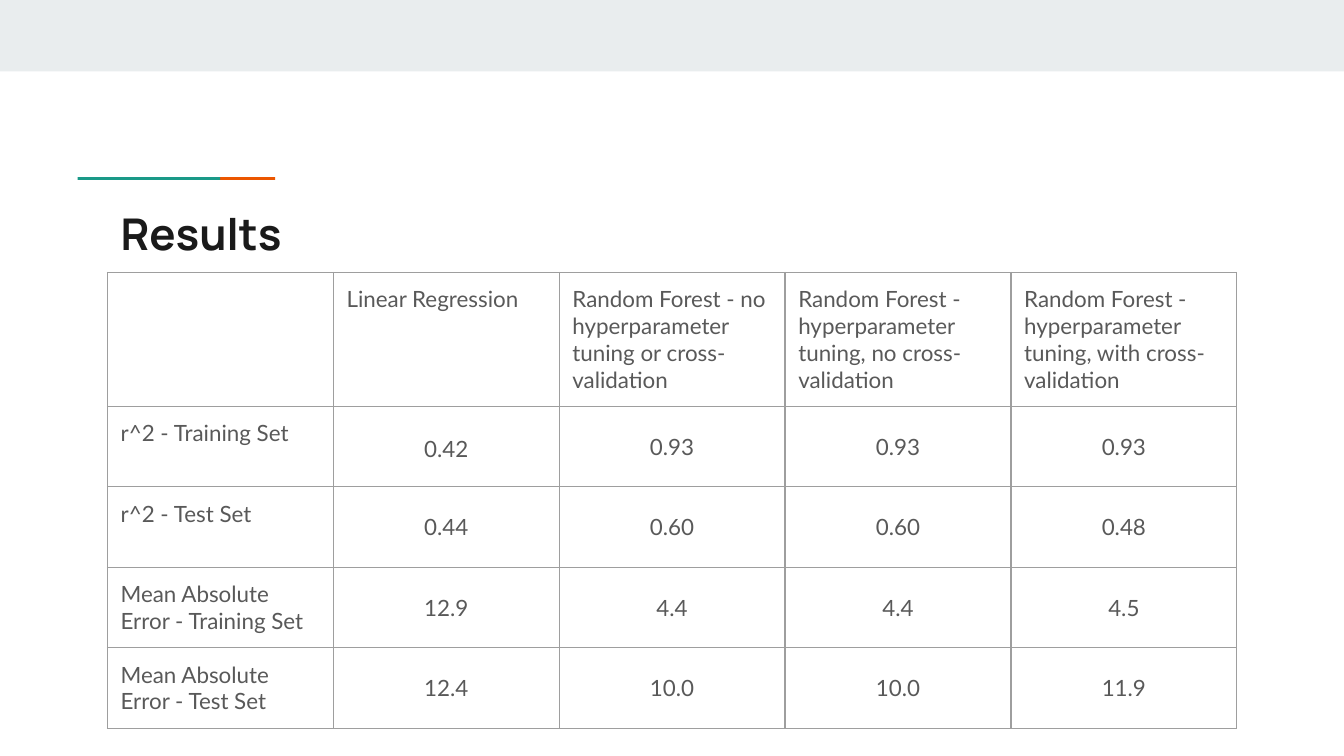
"""Build the model results slide with its comparison table."""
from dataclasses import dataclass

from lxml.etree import SubElement
from pptx import Presentation
from pptx.dml.color import RGBColor as Rgb
from pptx.enum.shapes import MSO_SHAPE as Shape
from pptx.enum.text import MSO_ANCHOR as Anchor, PP_ALIGN as Align
from pptx.oxml import parse_xml
from pptx.oxml.ns import nsdecls, qn
from pptx.util import Cm, Pt


@dataclass(frozen=True)
class Theme:
    band: str = "E9EDEE"
    orange: str = "EB5600"
    teal: str = "1A9988"
    heading: str = "1A1A1A"
    body: str = "595959"
    border: str = "9E9E9E"
    heading_font: str = "Manrope"
    body_font: str = "Lato"
    heading_size: float = 23.4
    body_size: float = 12
    border_width: float = 0.75
    inset: float = 0.25


class SlideBuilder:
    def __init__(self, slide, theme):
        self.slide = slide
        self.theme = theme

    def bar(self, left, top, width, height, color):
        bar = self.slide.shapes.add_shape(
            Shape.RECTANGLE, Cm(left), Cm(top), Cm(width), Cm(height))
        bar.shadow.inherit = False
        bar.fill.solid()
        bar.fill.fore_color.rgb = Rgb.from_string(color)
        bar.line.fill.background()

    def inset(self, holder):
        for side in ("left", "right", "top", "bottom"):
            setattr(holder, f"margin_{side}", Cm(self.theme.inset))

    def style(self, paragraph, name, size, color, bold=False):
        font = paragraph.font
        font.name, font.size, font.bold = name, Pt(size), bold
        font.color.rgb = Rgb.from_string(color)

    def heading(self, wording, left, top, width, height):
        frame = self.slide.shapes.add_textbox(
            Cm(left), Cm(top), Cm(width), Cm(height)).text_frame
        frame.word_wrap = True
        frame.vertical_anchor = Anchor.MIDDLE
        self.inset(frame)
        frame.text = wording
        theme = self.theme
        self.style(frame.paragraphs[0], theme.heading_font,
                   theme.heading_size, theme.heading, bold=True)

    def outline(self, cell):
        properties = cell._tc.get_or_add_tcPr()
        for position, side in enumerate("LRTB"):
            edge = parse_xml(f'<a:ln{side} {nsdecls("a")} '
                             f'w="{Pt(self.theme.border_width)}"/>')
            paint = SubElement(edge, qn("a:solidFill"))
            SubElement(paint, qn("a:srgbClr"), val=self.theme.border)
            properties.insert(position, edge)

    def cell(self, cell, wording, centered):
        cell.text = wording
        cell.fill.background()
        self.inset(cell)
        self.outline(cell)
        paragraph = cell.text_frame.paragraphs[0]
        self.style(paragraph, self.theme.body_font,
                   self.theme.body_size, self.theme.body)
        if centered:
            cell.vertical_anchor = Anchor.MIDDLE
            paragraph.alignment = Align.CENTER

    def table(self, rows, left, top, column_width, row_heights):
        columns = len(rows[0])
        table = self.slide.shapes.add_table(
            len(rows), columns, Cm(left), Cm(top),
            Cm(column_width * columns), Cm(sum(row_heights))).table
        table.first_row = table.horz_banding = False
        for column in table.columns:
            column.width = Cm(column_width)
        for r, (wordings, height) in enumerate(zip(rows, row_heights)):
            table.rows[r].height = Cm(height)
            for c, wording in enumerate(wordings):
                self.cell(table.cell(r, c), wording, centered=r > 0 and c > 0)
        return table


RESULTS = [
    ("", "Linear Regression",
     "Random Forest - no hyperparameter tuning or cross-validation",
     "Random Forest - hyperparameter tuning, no cross-validation",
     "Random Forest - hyperparameter tuning, with cross-validation"),
    ("r^2 - Training Set", "0.42", "0.93", "0.93", "0.93"),
    ("r^2 - Test Set", "0.44", "0.60", "0.60", "0.48"),
    ("Mean Absolute Error - Training Set", "12.9", "4.4", "4.4", "4.5"),
    ("Mean Absolute Error - Test Set", "12.4", "10.0", "10.0", "11.9"),
]


def main():
    deck = Presentation()
    deck.slide_width, deck.slide_height = Cm(25.4), Cm(14.29)
    theme = Theme()
    builder = SlideBuilder(deck.slides.add_slide(deck.slide_layouts[6]), theme)

    builder.bar(0, 0, 25.4, 1.35, theme.band)
    for left, color in ((2.51, theme.orange), (1.47, theme.teal)):
        builder.bar(left, 3.35, 2.69, 0.05, color)
    builder.heading("Results", 2.03, 3.66, 21.36, 1.5)
    scores = builder.table(RESULTS, 2.03, 5.15, 4.27, [2.53] + [1.52] * 4)
    scores.cell(1, 1).text_frame.paragraphs[0].line_spacing = 1.15

    deck.save("out.pptx")


if __name__ == "__main__":
    main()
